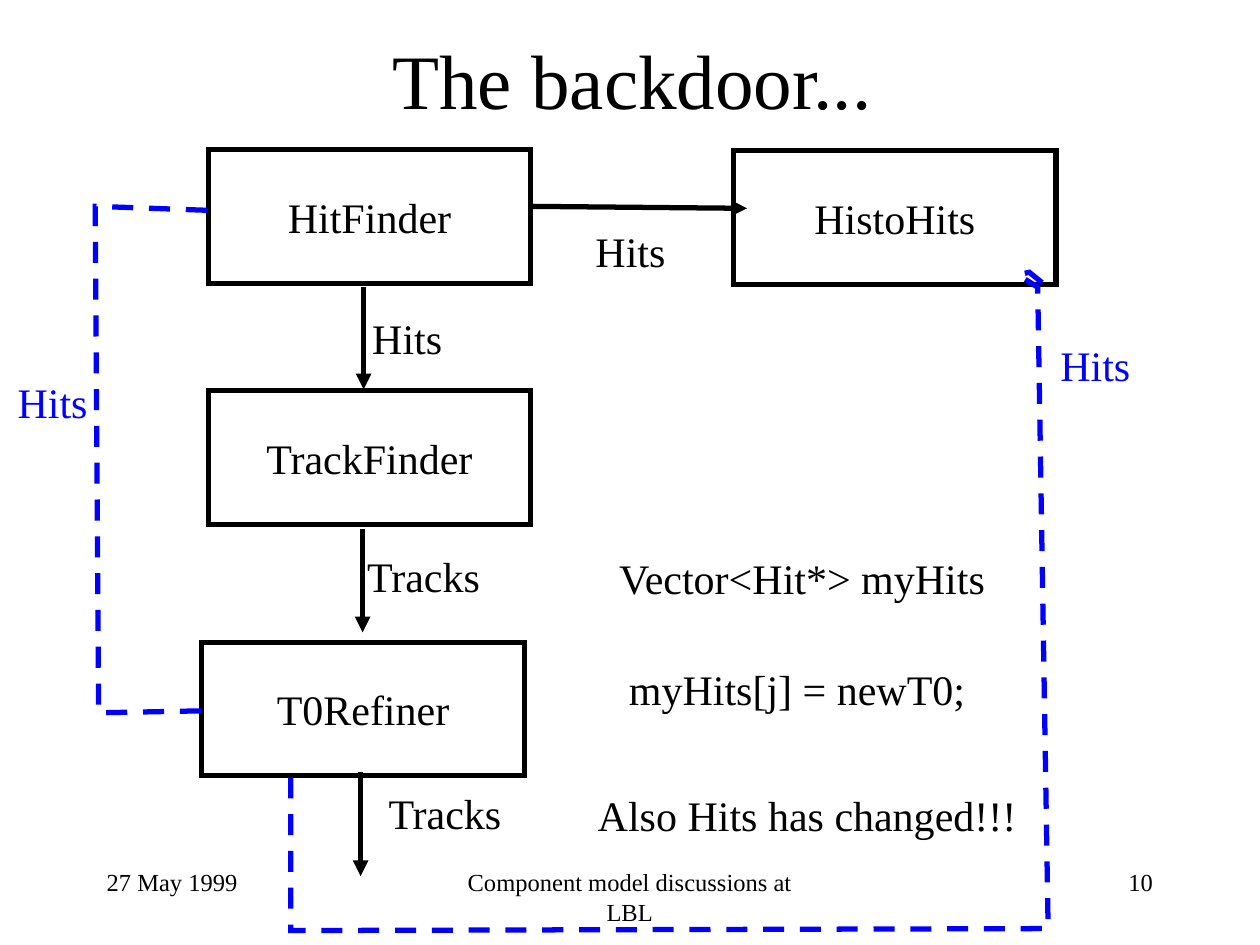
from dataclasses import dataclass

from lxml import etree
from pptx import Presentation
from pptx.dml.color import RGBColor
from pptx.enum.dml import MSO_LINE
from pptx.enum.shapes import MSO_CONNECTOR, MSO_SHAPE
from pptx.enum.text import MSO_ANCHOR, MSO_AUTO_SIZE, PP_ALIGN
from pptx.oxml.ns import qn
from pptx.util import Cm, Pt

LEFT, CENTER, RIGHT = PP_ALIGN.LEFT, PP_ALIGN.CENTER, PP_ALIGN.RIGHT
TOP, MIDDLE = MSO_ANCHOR.TOP, MSO_ANCHOR.MIDDLE
FIT_SHAPE = MSO_AUTO_SIZE.SHAPE_TO_FIT_TEXT
RECTANGLE = MSO_SHAPE.RECTANGLE
STRAIGHT = MSO_CONNECTOR.STRAIGHT
DASH = MSO_LINE.DASH


@dataclass(frozen=True)
class Theme:
    font: str = "Times New Roman"
    ink: RGBColor = RGBColor(0, 0, 0)
    paper: RGBColor = RGBColor(255, 255, 255)
    backdoor: RGBColor = RGBColor(0, 0, 255)
    title_size: int = 44
    body_size: int = 24
    footer_size: int = 14
    line_width: int = 3


@dataclass(frozen=True)
class Box:
    left: float
    top: float
    width: float
    height: float

    def inner(self, x, y, width, height):
        return Box(self.left + x, self.top + y, width, height)

    def point(self, x, y):
        return Cm(self.left + x), Cm(self.top + y)

    def frame(self):
        return Cm(self.left), Cm(self.top), Cm(self.width), Cm(self.height)


THEME = Theme()
NODE_WIDTH, NODE_HEIGHT = 6.5, 2.69
LABEL_HEIGHT = 1.27
HITS_WIDTH, TRACKS_WIDTH = 2, 2.86


def write(shape, text, size, color=THEME.ink, align=CENTER, anchor=MIDDLE, wrap=False):
    text_frame = shape.text_frame
    text_frame.word_wrap = wrap
    text_frame.vertical_anchor = anchor
    paragraph = text_frame.paragraphs[0]
    paragraph.text = text
    paragraph.alignment = align
    paragraph.font.name = THEME.font
    paragraph.font.size = Pt(size)
    paragraph.font.color.rgb = color


def style_line(shape, color):
    shape.line.color.rgb = color
    shape.line.width = Pt(THEME.line_width)
    etree.SubElement(shape.line._get_or_add_ln(), qn("a:miter"), lim="800000")


def add_label(slide, box, text, color=THEME.ink):
    label = slide.shapes.add_textbox(*box.frame())
    write(label, text, THEME.body_size, color)
    label.text_frame.auto_size = FIT_SHAPE


def add_node(slide, box, name):
    node = slide.shapes.add_shape(RECTANGLE, *box.frame())
    node.shadow.inherit = False
    node.fill.solid()
    node.fill.fore_color.rgb = THEME.paper
    style_line(node, THEME.ink)
    write(node, name, THEME.body_size)


def add_arrow(slide, start, end):
    arrow = slide.shapes.add_connector(STRAIGHT, *start, *end)
    style_line(arrow, THEME.ink)
    etree.SubElement(arrow.line._get_or_add_ln(), qn("a:tailEnd"), type="triangle")
    etree.SubElement(arrow._element.spPr, qn("a:effectLst"))


def add_dashed_path(slide, points):
    builder = slide.shapes.build_freeform(*points[0])
    builder.add_line_segments(points[1:], close=False)
    path = builder.convert_to_shape()
    path.shadow.inherit = False
    path.fill.background()
    style_line(path, THEME.backdoor)
    path.line.dash_style = DASH


def add_title(slide, box):
    title = slide.shapes.add_textbox(*box.frame())
    write(title, "The backdoor...", THEME.title_size, wrap=True)


def add_data_flow(slide, box):
    nodes = [
        ("HitFinder", 0.2, 0.02),
        ("TrackFinder", 0.2, 4.88),
        ("T0Refiner", 0.07, 9.95),
        ("HistoHits", 10.79, 0.04),
    ]
    arrows = [
        ((3.33, 2.79), (3.33, 4.85)),
        ((3.31, 7.67), (3.31, 9.75)),
        ((3.27, 12.57), (3.27, 14.66)),
        ((6.72, 1.16), (11.06, 1.2)),
    ]
    labels = [
        ("Hits", 3.21, 3.17, HITS_WIDTH),
        ("Tracks", 3.11, 7.97, TRACKS_WIDTH),
        ("Tracks", 3.54, 12.75, TRACKS_WIDTH),
        ("Hits", 7.71, 1.42, HITS_WIDTH),
    ]
    for name, x, y in nodes:
        add_node(slide, box.inner(x, y, NODE_WIDTH, NODE_HEIGHT), name)
    for start, end in arrows:
        add_arrow(slide, box.point(*start), box.point(*end))
    for text, x, y, width in labels:
        add_label(slide, box.inner(x, y, width, LABEL_HEIGHT), text)


def add_code_notes(slide, box):
    notes = [
        ("Vector<Hit*> myHits", 0.32, 0.02, 8.1),
        ("myHits[j] = newT0;", 0.57, 2.25, 7.4),
        ("Also Hits has changed!!!", -0.08, 4.79, 9.1),
    ]
    for text, x, y, width in notes:
        add_label(slide, box.inner(x, y, width, LABEL_HEIGHT), text)


def add_backdoor(slide, box):
    hits_to_refiner = [(4.17, 0.24), (1.92, 0.16), (1.99, 10.37), (4.11, 10.33)]
    refiner_to_histogram = [
        (5.86, 11.67), (5.86, 14.76), (21.13, 14.72), (20.92, 1.79),
        (20.52, 1.54), (20.75, 1.49), (21.16, 1.82),
    ]
    for points in (hits_to_refiner, refiner_to_histogram):
        add_dashed_path(slide, [box.point(*point) for point in points])
    for x, y in ((0.06, 3.47), (21.08, 2.71)):
        label_box = box.inner(x, y, HITS_WIDTH, LABEL_HEIGHT)
        add_label(slide, label_box, "Hits", THEME.backdoor)


def add_footer(slide, box):
    side_width, middle_width = 5.29, 8.05
    fields = [
        ("27 May 1999", 0, side_width, LEFT),
        ("Component model discussions at LBL",
         (box.width - middle_width) / 2, middle_width, CENTER),
        ("10", box.width - side_width, side_width, RIGHT),
    ]
    for text, x, width, align in fields:
        field = slide.shapes.add_textbox(*box.inner(x, 0, width, box.height).frame())
        write(field, text, THEME.footer_size, align=align, anchor=TOP, wrap=True)


def main():
    presentation = Presentation()
    presentation.slide_width = Cm(25.4)
    presentation.slide_height = Cm(19.05)
    slide = presentation.slides.add_slide(presentation.slide_layouts[6])
    add_title(slide, Box(1.95, 0, 21.59, 3.18))
    add_data_flow(slide, Box(4, 3, 17.29, 14.66))
    add_code_notes(slide, Box(11.8, 11, 9.02, 6.06))
    add_backdoor(slide, Box(0, 4, 23.08, 14.76))
    add_footer(slide, Box(1.9, 17.36, 21.59, 1.27))
    presentation.save("out.pptx")


if __name__ == "__main__":
    main()
